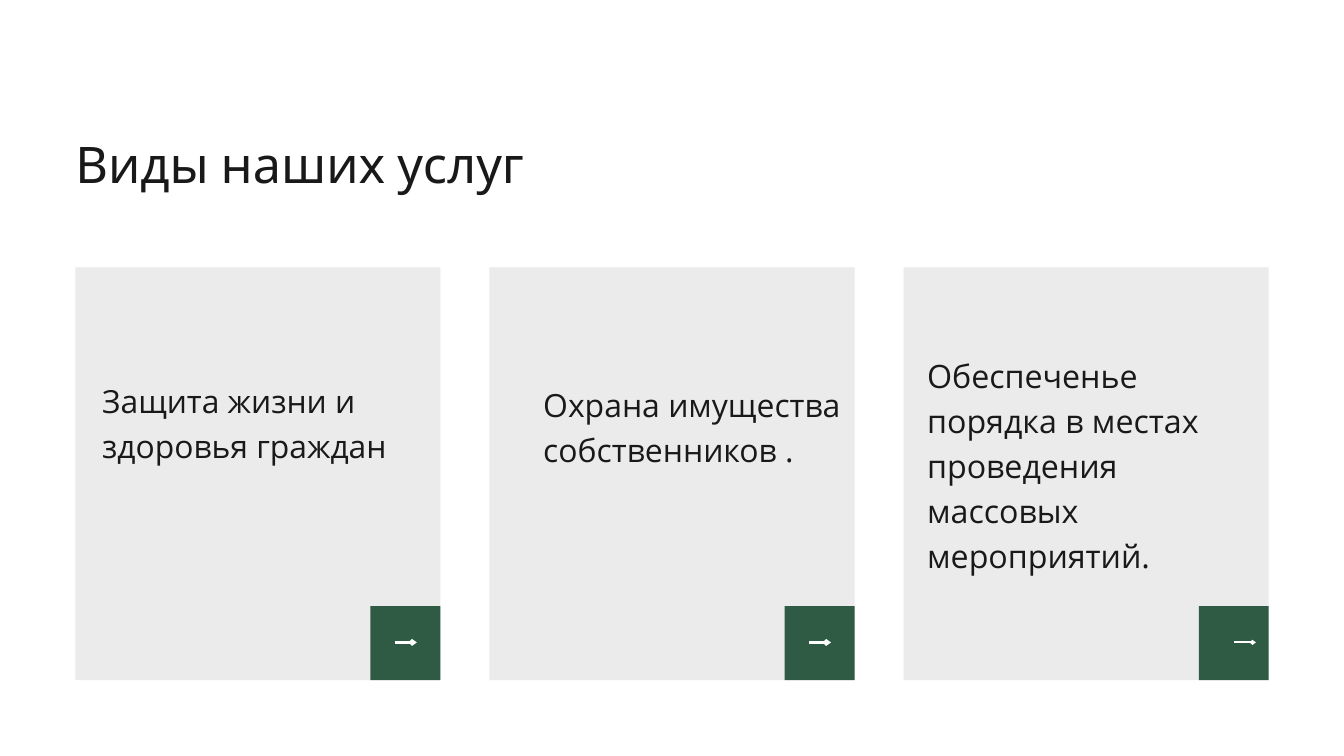
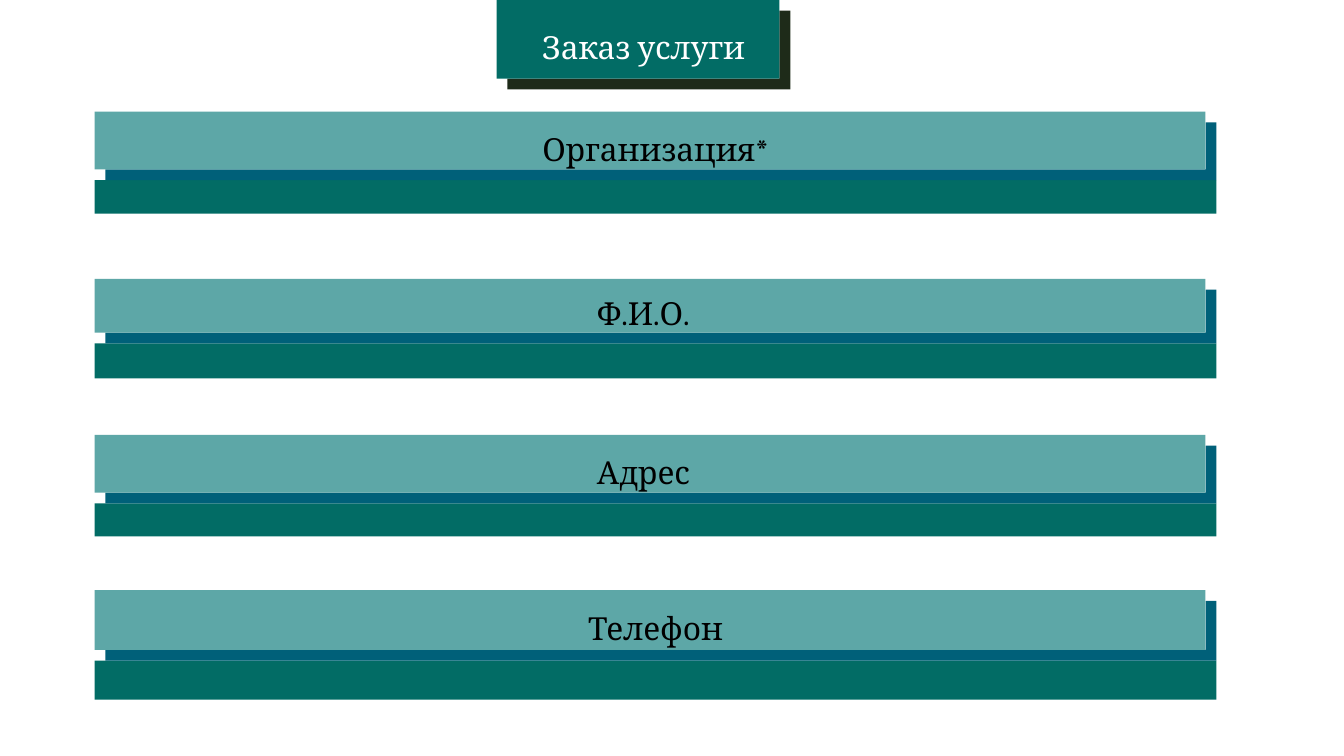
from lxml import etree
from pptx import Presentation
from pptx.dml.color import RGBColor
from pptx.enum.shapes import MSO_CONNECTOR, MSO_SHAPE
from pptx.enum.text import MSO_AUTO_SIZE, PP_ALIGN
from pptx.oxml.ns import qn
from pptx.util import Inches, Pt

RECT = MSO_SHAPE.RECTANGLE
STRAIGHT = MSO_CONNECTOR.STRAIGHT
GROW = MSO_AUTO_SIZE.SHAPE_TO_FIT_TEXT
LEFT, CENTER = PP_ALIGN.LEFT, PP_ALIGN.CENTER

WHITE = RGBColor(0xFF, 0xFF, 0xFF)
BLACK = RGBColor(0, 0, 0)
INK = RGBColor(0x19, 0x19, 0x19)
CARD_GREY = RGBColor(0xEB, 0xEB, 0xEB)
BUTTON_GREEN = RGBColor(0x2F, 0x5B, 0x44)
TEAL = RGBColor(0x02, 0x6C, 0x65)
LIGHT_TEAL = RGBColor(0x5D, 0xA7, 0xA7)
BLUE = RGBColor(0x00, 0x60, 0x79)
DARK = RGBColor(0x1E, 0x2B, 0x19)

TITLE_FONT, CARD_FONT, FORM_FONT = "Karla", "Open Sans", "Cambria"

# All lengths are in inches.
SLIDE_W, SLIDE_H = 20, 11.25
MARGIN, GAP = 1.12, 0.73
CARD_W = (SLIDE_W - 2 * MARGIN - 2 * GAP) / 3
CARD_TOP, CARD_H = 3.98, 6.14
BUTTON_W, BUTTON_H = 1.04, 1.1
ARROW_Y, ARROW_LEN = 9.56, 0.33
FIELD_LEFT, FIELD_W = 1.41, 16.53
DEPTH = 0.16

# Text, text offset from card, text top, text width, size, leading,
# arrow offset in the button, arrow weight
CARDS = [
    ("Защита жизни и здоровья граждан",
     0.4, 5.59, 5.03, 34.1, 47.8, 0.36, 3),
    ("Охрана имущества собственников .",
     0.8, 5.65, 5.04, 34.2, 47.8, 0.36, 3),
    ("Обеспеченье порядка в местах проведения массовых мероприятий.",
     0.35, 5.21, 5.08, 34.5, 48.2, 0.52, 2.25),
]

# Label, top, bar height, base height, label left, label top
FIELDS = [
    ("Организация*", 1.66, 0.86, 0.5, 1.41, 1.83),
    ("Ф.И.О.", 4.15, 0.8, 0.52, 1.23, 4.28),
    ("Адрес", 6.47, 0.86, 0.49, 1.23, 6.64),
    ("Телефон", 8.78, 0.89, 0.58, 1.41, 8.96),
]


def add_text(s, text, x, y, w, h, *, size, leading, font, color, align=LEFT):
    tf = s.shapes.add_textbox(Inches(x), Inches(y), Inches(w), Inches(h)).text_frame
    tf.word_wrap = True
    tf.auto_size = GROW
    tf.margin_left = tf.margin_right = tf.margin_top = tf.margin_bottom = 0
    p = tf.paragraphs[0]
    p.alignment = align
    p.line_spacing = Pt(leading)
    r = p.add_run()
    r.text = text
    r.font.name = font
    r.font.size = Pt(size)
    r.font.color.rgb = color


def paint(sp, fill):
    sp.shadow.inherit = False
    sp.fill.solid()
    sp.fill.fore_color.rgb = fill
    sp.line.fill.background()


def add_rect(s, x, y, w, h, fill):
    paint(s.shapes.add_shape(RECT, Inches(x), Inches(y), Inches(w), Inches(h)), fill)


def add_arrow(s, x, y, length, weight):
    line = s.shapes.add_connector(STRAIGHT, Inches(x), Inches(y),
                                  Inches(x + length), Inches(y))
    line.line.color.rgb = WHITE
    line.line.width = Pt(weight)
    etree.SubElement(line.line._get_or_add_ln(), qn("a:tailEnd"),
                     type="arrow", w="sm", len="sm")
    etree.SubElement(line._element.spPr, qn("a:effectLst"))


def add_raised_bar(s, x, y, w, h, fill, edge):
    """A bar with an L-shaped edge showing below and to the right."""
    right, bottom = x + w, y + h
    corners = [(right + DEPTH, y + DEPTH), (right + DEPTH, bottom + DEPTH),
               (x + DEPTH, bottom + DEPTH), (x + DEPTH, bottom),
               (right, bottom), (right, y + DEPTH)]
    points = [(Inches(px), Inches(py)) for px, py in corners]
    outline = s.shapes.build_freeform(*points[0])
    outline.add_line_segments(points[1:])
    paint(outline.convert_to_shape(), edge)
    add_rect(s, x, y, w, h, fill)


def add_card(s, column, text, dx, text_top, text_w, size, leading,
             arrow_dx, weight):
    x = MARGIN + column * (CARD_W + GAP)
    button_x = x + CARD_W - BUTTON_W
    add_rect(s, x, CARD_TOP, CARD_W, CARD_H, CARD_GREY)
    add_rect(s, button_x, CARD_TOP + CARD_H - BUTTON_H, BUTTON_W, BUTTON_H,
             BUTTON_GREEN)
    add_arrow(s, button_x + arrow_dx, ARROW_Y, ARROW_LEN, weight)
    add_text(s, text, x + dx, text_top, text_w, 1.28, size=size,
             leading=leading, font=CARD_FONT, color=INK)


def add_form_label(s, text, x, y, w, color=BLACK):
    add_text(s, text, x, y, w, 0.62, size=34, leading=47.6,
             font=FORM_FONT, color=color, align=CENTER)


def add_field(s, label, top, bar_h, base_h, label_x, label_y):
    full_w = FIELD_W + DEPTH
    add_rect(s, FIELD_LEFT, top + bar_h + DEPTH, full_w, base_h, TEAL)
    add_raised_bar(s, FIELD_LEFT, top, FIELD_W, bar_h, LIGHT_TEAL, BLUE)
    add_form_label(s, label, label_x, label_y, full_w)


def build_services(s):
    for column, card in enumerate(CARDS):
        add_card(s, column, *card)
    add_text(s, "Виды наших услуг", MARGIN, 1.9, 11.59, 0.96, size=54,
             leading=70.2, font=TITLE_FONT, color=INK)


def build_order_form(s):
    add_raised_bar(s, 7.39, 0, 4.21, 1.17, TEAL, DARK)
    add_form_label(s, "Заказ услуги", 8, 0.32, 3.15, WHITE)
    for field in FIELDS:
        add_field(s, *field)


def main():
    prs = Presentation()
    prs.slide_width, prs.slide_height = Inches(SLIDE_W), Inches(SLIDE_H)
    for build in (build_services, build_order_form):
        build(prs.slides.add_slide(prs.slide_layouts[6]))
    prs.save("out.pptx")


if __name__ == "__main__":
    main()
